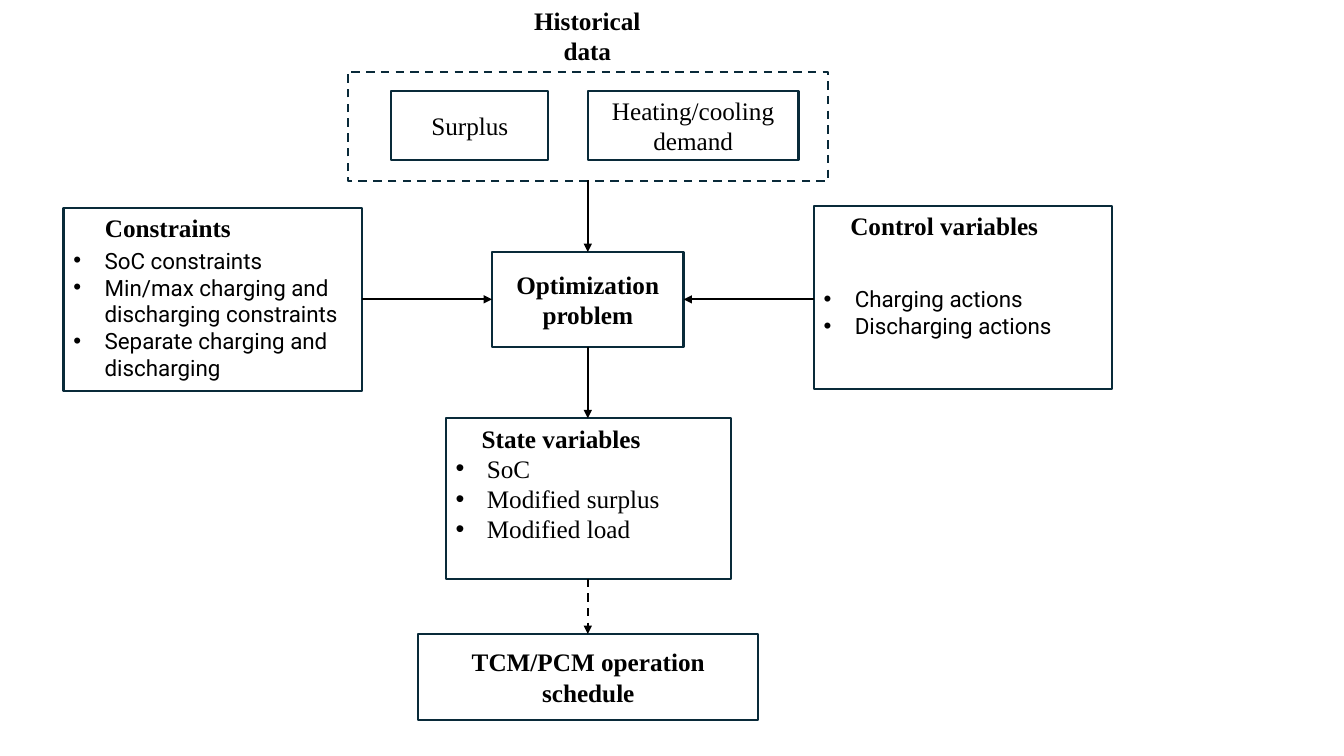
from lxml.etree import SubElement
from pptx import Presentation
from pptx.dml.color import RGBColor
from pptx.enum.dml import MSO_LINE_DASH_STYLE as Dash
from pptx.enum.shapes import MSO_CONNECTOR, MSO_SHAPE
from pptx.enum.text import MSO_ANCHOR, MSO_AUTO_SIZE, PP_ALIGN
from pptx.oxml.ns import qn
from pptx.util import Inches, Pt

COLORS = {"border": "092A39", "ink": "000000", "paper": "FFFFFF"}
SERIF, SANS = "Times New Roman", "Roboto"
AXIS_X, AXIS_Y = 5.83, 2.97  # centre lines of the flow
INDENT = 0.31


def color(name):
    return RGBColor.from_string(COLORS[name])


def style_text(para, size=18, face=SERIF, bold=False, align=PP_ALIGN.CENTER):
    para.alignment = align
    para.font.size = Pt(size)
    para.font.name = face
    para.font.bold = bold
    para.font.color.rgb = color("ink")


def add_box(page, left, top, width, height, text="", bold=False, filled=False, dashed=False):
    box = page.shapes.add_shape(
        MSO_SHAPE.RECTANGLE, Inches(left), Inches(top), Inches(width), Inches(height))
    box.shadow.inherit = False
    if filled:
        box.fill.solid()
        box.fill.fore_color.rgb = color("paper")
    else:
        box.fill.background()
    box.line.color.rgb = color("border")
    box.line.width = Pt(1.5)
    if dashed:
        box.line.dash_style = Dash.DASH
    frame = box.text_frame
    frame.word_wrap = True
    frame.vertical_anchor = MSO_ANCHOR.MIDDLE
    if text:
        frame.text = text
        style_text(frame.paragraphs[0], bold=bold)
    return box


def add_heading(page, left, top, width, height, text):
    box = page.shapes.add_textbox(Inches(left), Inches(top), Inches(width), Inches(height))
    frame = box.text_frame
    frame.word_wrap = True
    frame.auto_size = MSO_AUTO_SIZE.SHAPE_TO_FIT_TEXT
    frame.text = text
    style_text(frame.paragraphs[0], bold=True)


def add_bullet(para):
    props = para._p.get_or_add_pPr()
    props.set("marL", str(Inches(INDENT)))
    props.set("indent", str(-Inches(INDENT)))
    SubElement(props, qn("a:buFont")).set("typeface", "Arial")
    SubElement(props, qn("a:buChar")).set("char", "•")


def add_arrow(page, start, end, dashed=False):
    arrow = page.shapes.add_connector(
        MSO_CONNECTOR.STRAIGHT, *(Inches(value) for value in (*start, *end)))
    arrow.line.color.rgb = color("ink")
    arrow.line.width = Pt(1.5)
    if dashed:
        arrow.line.dash_style = Dash.DASH
    SubElement(arrow.line._get_or_add_ln(), qn("a:tailEnd")).set("type", "triangle")
    SubElement(arrow._element.spPr, qn("a:effectLst"))


def add_history(page, left, top, width, height):
    """Dashed frame with its heading above and two inputs inside."""
    add_box(page, left, top, width, height, dashed=True)
    add_heading(page, left + 1.52, top - 0.71, 1.71, 0.71, "Historical data")
    add_box(page, left + 0.43, top + 0.19, 1.56, 0.69, "Surplus")
    add_box(page, left + 2.38, top + 0.19, 2.09, 0.69, "Heating/cooling demand")


def add_list_panel(page, left, top, width, height, title, title_width, items,
                   title_shift=0, size=16, face=SANS, top_inset=0.34):
    """Bordered panel with a heading at the top and bullets below it."""
    panel = add_box(page, left, top, width, height, filled=True)
    frame = panel.text_frame
    frame.margin_top = Inches(top_inset)
    frame.text = "\n".join(items)
    for para in frame.paragraphs:
        style_text(para, size, face, align=PP_ALIGN.LEFT)
        add_bullet(para)
    add_heading(page, left + title_shift, top, title_width, 0.4, title)


def add_flow(page):
    # Inputs and the central problem
    add_history(page, 3.45, 0.71, 4.76, 1.09)
    add_box(page, 4.88, 2.5, 1.9, 0.94, "Optimization problem", bold=True)

    # Side panels
    add_list_panel(page, 0.63, 2.06, 2.96, 1.82, "Constraints", 2.07,
                   ["SoC constraints", "Min/max charging and discharging constraints",
                    "Separate charging and discharging"])
    add_list_panel(page, 8.07, 2.04, 2.96, 1.82, "Control variables", 2.59,
                   ["Charging actions", "Discharging actions"])

    # Results
    add_list_panel(page, 4.42, 4.15, 2.83, 1.59, "State variables", 2.07,
                   ["SoC", "Modified surplus", "Modified load"],
                   title_shift=0.11, size=18, face=SERIF, top_inset=0.05)
    add_box(page, 4.15, 6.29, 3.37, 0.85, "TCM/PCM operation schedule", bold=True, filled=True)

    # Arrows down the centre, then in from both sides
    for start, end, dashed in [(1.79, 2.5, False), (3.44, 4.15, False), (5.74, 6.29, True)]:
        add_arrow(page, (AXIS_X, start), (AXIS_X, end), dashed)
    for start, end in [(3.59, 4.88), (8.07, 6.78)]:
        add_arrow(page, (start, AXIS_Y), (end, AXIS_Y))


def main():
    deck = Presentation()
    deck.slide_width, deck.slide_height = Inches(13.33), Inches(7.5)
    page = deck.slides.add_slide(deck.slide_layouts[6])
    add_flow(page)
    deck.save("out.pptx")


if __name__ == "__main__":
    main()
